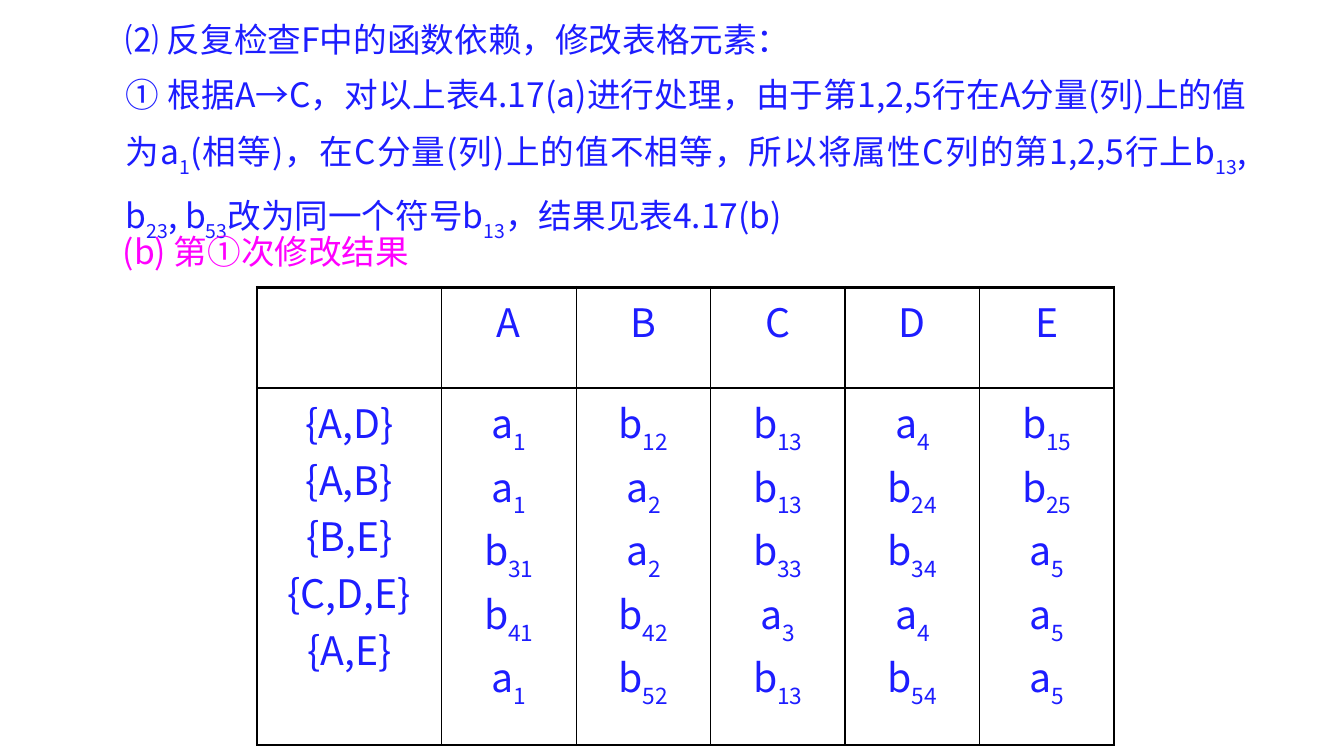
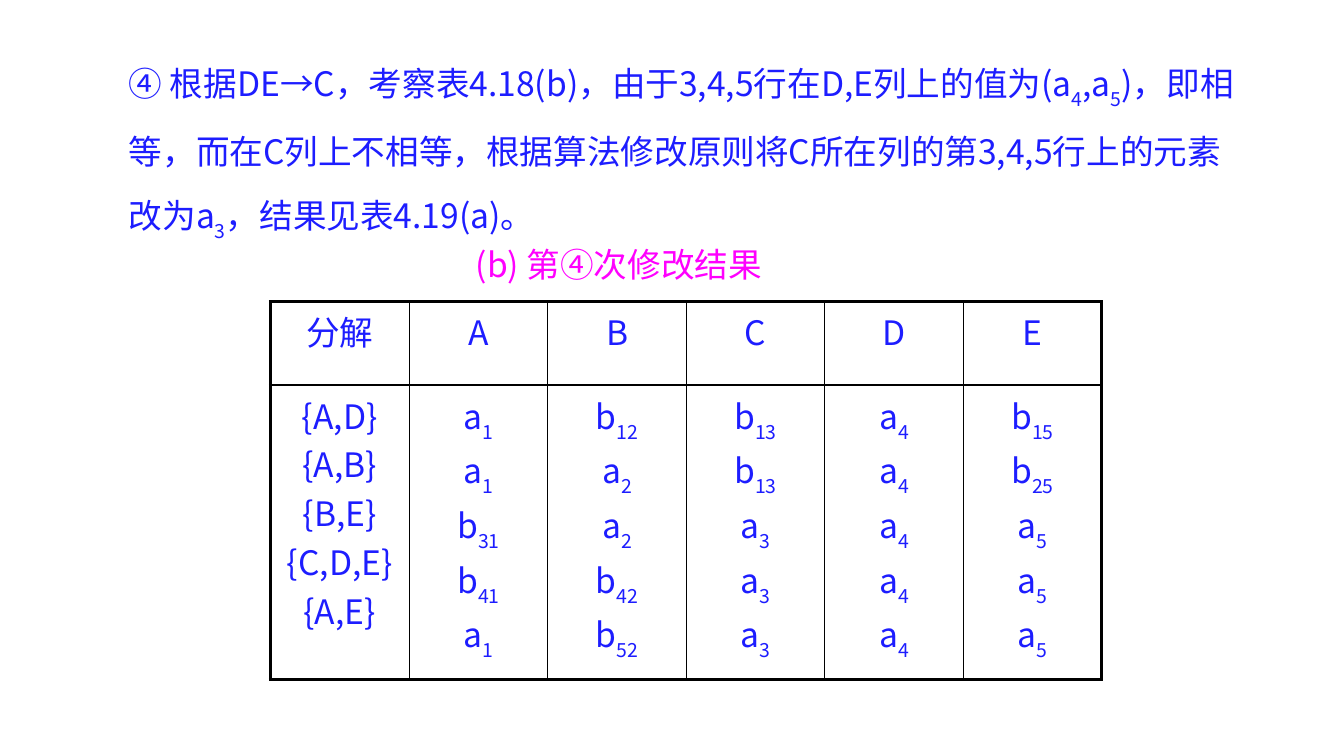
from lxml.etree import SubElement
from pptx import Presentation
from pptx.dml.color import RGBColor
from pptx.enum.text import MSO_AUTO_SIZE, PP_ALIGN as Align
from pptx.oxml.ns import qn
from pptx.util import Inches, Pt

FONT = "Noto Sans CJK SC"
BLUE, MAGENTA, BLACK = "1D1DFF", "FF00FF", "000000"
TEXT_SIZE = 24
THICK, THIN = 2.25, 1

# Content: [..] marks a subscript
SETS = "{A,D} {A,B} {B,E} {C,D,E} {A,E}"
COL_A = "a[1] a[1] b[31] b[41] a[1]"
COL_B = "b[12] a[2] a[2] b[42] b[52]"
COL_E = "b[15] b[25] a[5] a[5] a[5]"

SLIDES = [
    {
        "body": [
            "⑵ 反复检查F中的函数依赖，修改表格元素：",
            "① 根据A→C，对以上表4.17(a)进行处理，由于第1,2,5行在A分量(列)上的值为a[1]"
            "(相等)，在C分量(列)上的值不相等，所以将属性C列的第1,2,5行上"
            "b[13], b[23], b[53]改为同一个符号b[13]，结果见表4.17(b)",
        ],
        "body_box": (1.15, 0, 11.31, 2.28),
        "body_align": Align.JUSTIFY,
        "line_spacing": 1.35,
        "caption": "(b) 第①次修改结果",
        "caption_box": (1.12, 2.24, 3.2, 0.5),
        "heads": ["", "A", "B", "C", "D", "E"],
        "columns": [SETS, COL_A, COL_B,
                    "b[13] b[13] b[33] a[3] b[13]",
                    "a[4] b[24] b[34] a[4] b[54]", COL_E],
        "table_box": (2.55, 2.85, 8.5, 4.54),
        "first_width": 1.83,
        "head_height": 1,
        "table_size": 28,
    },
    {
        "body": [
            "④ 根据DE→C，考察表4.18(b)，由于3,4,5行在D,E列上的值为(a[4],a[5])，"
            "即相等，而在C列上不相等，根据算法修改原则将C所在列的第3,4,5行上的元素"
            "改为a[3]，结果见表4.19(a)。",
        ],
        "body_box": (1.18, 0.34, 11.24, 1.92),
        "body_align": Align.LEFT,
        "line_spacing": 1.5,
        "caption": "(b) 第④次修改结果",
        "caption_box": (4.62, 2.37, 3.2, 0.5),
        "heads": ["分解", "A", "B", "C", "D", "E"],
        "columns": [SETS, COL_A, COL_B,
                    "b[13] b[13] a[3] a[3] a[3]",
                    "a[4] a[4] a[4] a[4] a[4]", COL_E],
        "table_box": (2.68, 2.99, 8.25, 3.75),
        "first_width": 1.38,
        "head_height": 0.83,
        "table_size": 24,
    },
]


def rgb(color):
    return RGBColor.from_string(color)


def write(tf, lines, size, color, align, spacing=None):
    """Fill a text frame, one paragraph a line, with [..] as subscripts."""
    for i, line in enumerate(lines):
        p = tf.add_paragraph() if i else tf.paragraphs[0]
        p.alignment = align
        if spacing:
            p.line_spacing = spacing
        p.font.size = Pt(size)
        p.font.name = FONT
        p.font.color.rgb = rgb(color)
        SubElement(p._p.pPr.find(qn("a:defRPr")), qn("a:ea"), typeface=FONT)
        for j, part in enumerate(line.replace("]", "[").split("[")):
            if part:
                r = p.add_run()
                r.text = part
                if j % 2:
                    r._r.get_or_add_rPr().set("baseline", "-30000")


def add_text(s, box, lines, color, align, spacing=None, wrap=True):
    tf = s.shapes.add_textbox(*map(Inches, box)).text_frame
    tf.word_wrap = wrap
    tf.auto_size = MSO_AUTO_SIZE.SHAPE_TO_FIT_TEXT
    write(tf, lines, TEXT_SIZE, color, align, spacing)


def set_borders(cell, widths):
    tc_pr = cell._tc.get_or_add_tcPr()
    for side, width in zip("LRTB", widths):
        ln = SubElement(tc_pr, qn(f"a:ln{side}"), w=str(Pt(width)))
        fill = SubElement(ln, qn("a:solidFill"))
        SubElement(fill, qn("a:srgbClr"), val=BLACK)


def add_grid(s, data):
    heads, columns = data["heads"], data["columns"]
    last = len(heads) - 1
    width, height = data["table_box"][2:]
    table = s.shapes.add_table(2, len(heads), *map(Inches, data["table_box"])).table
    table.first_row = table.horz_banding = False

    # First column and header row are given; the others share the rest
    first, head = data["first_width"], data["head_height"]
    for c, column in enumerate(table.columns):
        column.width = Inches((width - first) / last if c else first)
    table.rows[0].height = Inches(head)
    table.rows[1].height = Inches(height - head)

    # Thick frame, thin inner lines
    for c, (title, values) in enumerate(zip(heads, columns)):
        for row, lines in enumerate(([title], values.split())):
            cell = table.cell(row, c)
            outer = (c == 0, c == last, row == 0, row == 1)
            set_borders(cell, [THICK if edge else THIN for edge in outer])
            cell.fill.background()
            write(cell.text_frame, lines, data["table_size"], BLUE, Align.CENTER)


def main():
    prs = Presentation()
    prs.slide_width, prs.slide_height = Inches(13.33), Inches(7.5)
    blank = prs.slide_layouts[6]
    for data in SLIDES:
        s = prs.slides.add_slide(blank)
        add_text(s, data["body_box"], data["body"], BLUE,
                 data["body_align"], data["line_spacing"])
        add_grid(s, data)
        add_text(s, data["caption_box"], [data["caption"]], MAGENTA,
                 Align.LEFT, wrap=False)
    prs.save("out.pptx")


if __name__ == "__main__":
    main()
